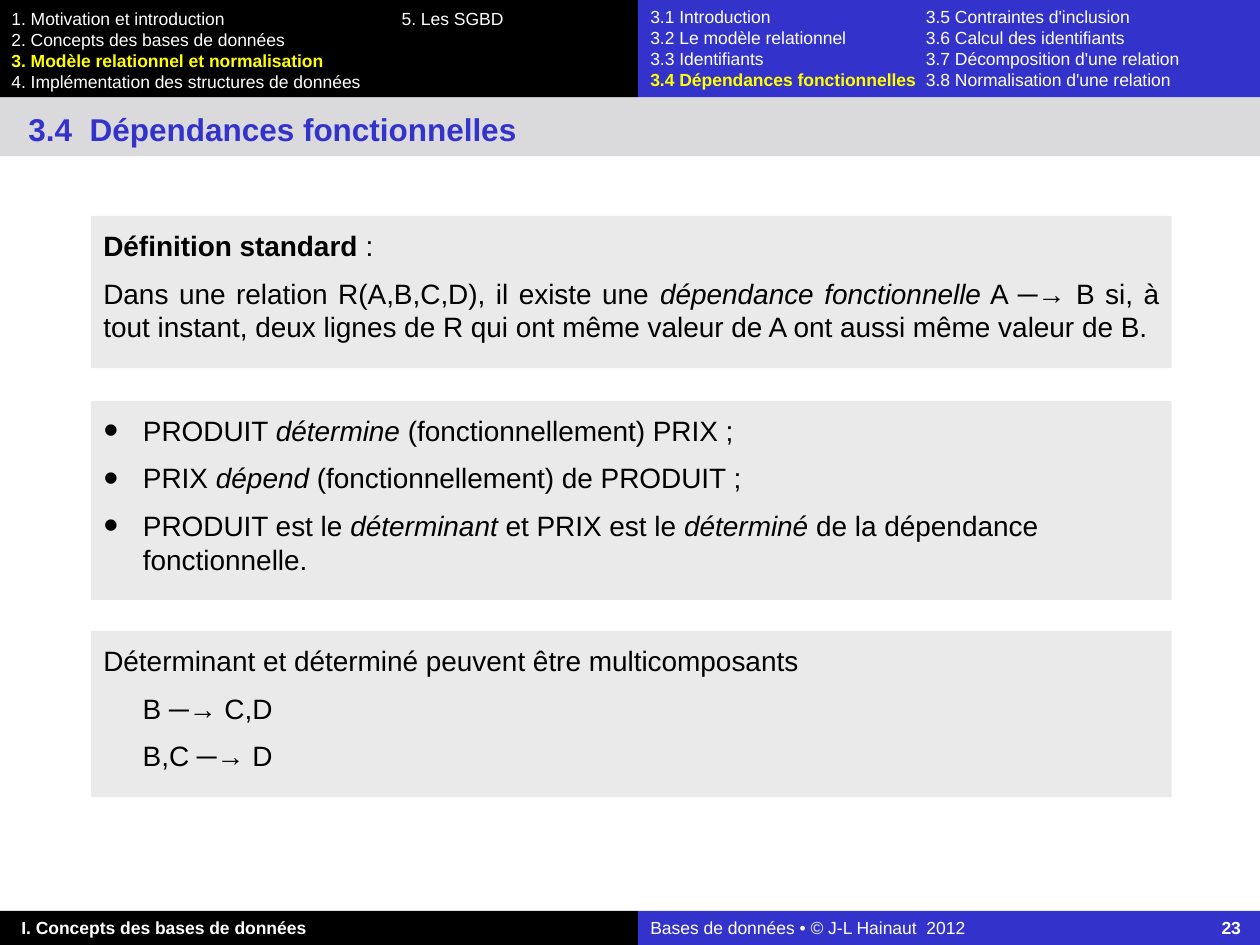
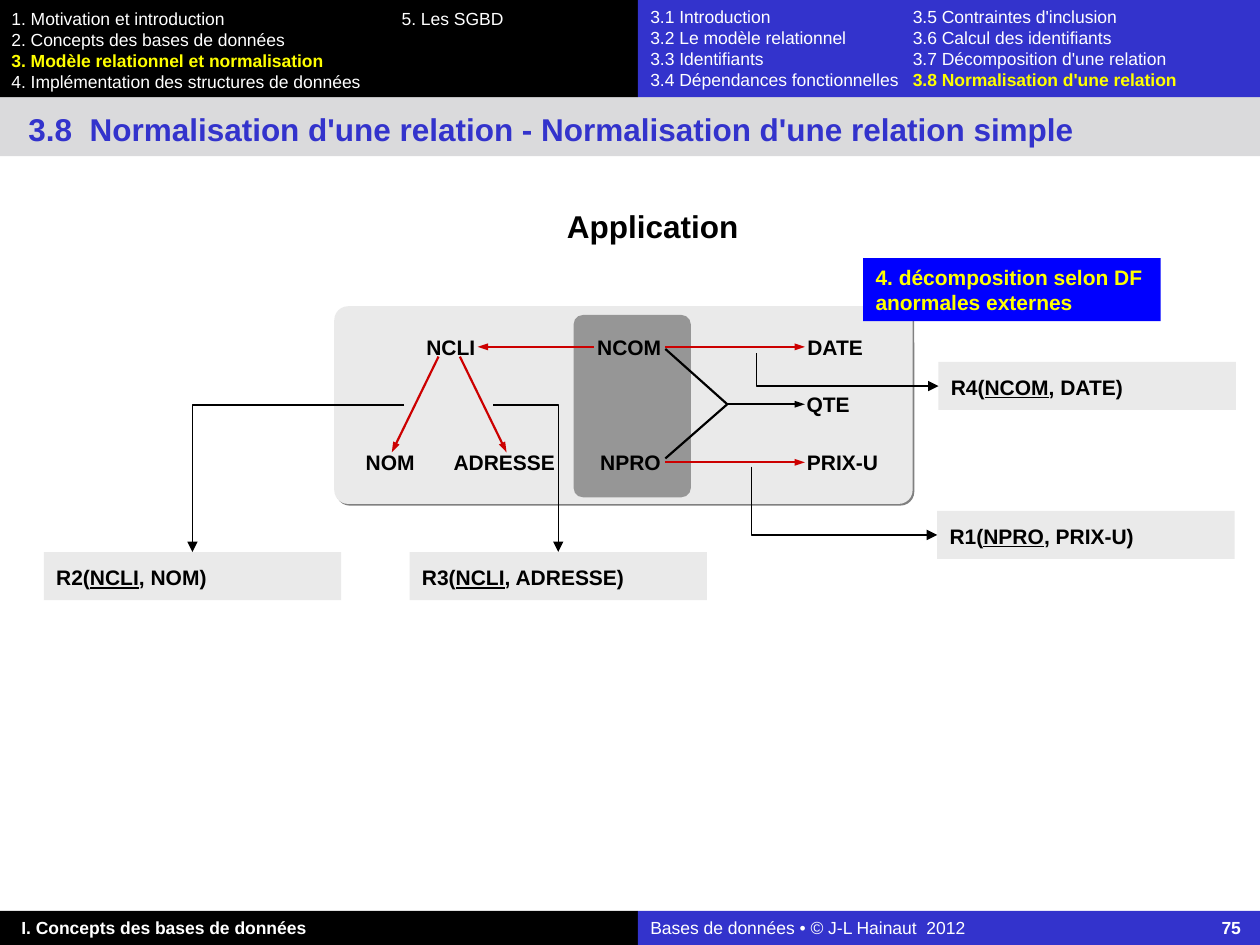
from dataclasses import dataclass
from typing import Any, NamedTuple

from lxml import etree
from pptx import Presentation
from pptx.dml.color import RGBColor
from pptx.enum.shapes import MSO_CONNECTOR, MSO_SHAPE
from pptx.enum.text import MSO_ANCHOR, MSO_AUTO_SIZE, PP_ALIGN
from pptx.oxml.ns import qn
from pptx.util import Pt

RECT, ROUND = MSO_SHAPE.RECTANGLE, MSO_SHAPE.ROUNDED_RECTANGLE
STRAIGHT, ELBOW = MSO_CONNECTOR.STRAIGHT, MSO_CONNECTOR.ELBOW
LEFT, CENTER, JUSTIFY = PP_ALIGN.LEFT, PP_ALIGN.CENTER, PP_ALIGN.JUSTIFY
TOP, MIDDLE = MSO_ANCHOR.TOP, MSO_ANCHOR.MIDDLE
NO_FIT = MSO_AUTO_SIZE.NONE

FONT = "Arial"
COLORS = {
    "black": "000000", "white": "FFFFFF", "yellow": "FFFF00",
    "indigo": "3333CC", "band": "DADADC", "panel": "EAEAEA",
    "key": "969696", "shadow": "808080", "red": "CC0000", "blue": "0000FF",
}
CHAPTERS = (
    "1. Motivation et introduction", "2. Concepts des bases de données",
    "3. Modèle relationnel et normalisation",
    "4. Implémentation des structures de données", "5. Les SGBD",
)
SECTIONS = (
    "3.1 Introduction", "3.2 Le modèle relationnel", "3.3 Identifiants",
    "3.4 Dépendances fonctionnelles", "3.5 Contraintes d'inclusion",
    "3.6 Calcul des identifiants", "3.7 Décomposition d'une relation",
    "3.8 Normalisation d'une relation",
)
MENU_ROWS = 4
SPLIT_X, SLIDE_W, SLIDE_H = 364.5, 720, 540
MENU_H, FOOTER_Y, FOOTER_H = 55.5, 520.5, 19.5
ROW_Y, ROW_GAP, LABEL_H = 191, 33, 14.4
RESULT_W, RESULT_H = 170, 27.4


class Rect(NamedTuple):
    """Left, top, width and height in points."""
    left: float
    top: float
    width: float
    height: float


@dataclass(frozen=True)
class Run:
    """Text with its own character format."""
    text: str
    bold: bool | None = None
    italic: bool = False
    underline: bool = False
    color: str | None = None


@dataclass(frozen=True)
class Para:
    """Runs with a paragraph format."""
    runs: tuple[Run, ...]
    align: Any = LEFT
    margin: float = 0
    bullet: bool = False


class Label(NamedTuple):
    """Attribute name on a row of the dependency diagram."""
    text: str
    left: float
    width: float
    row: int


class Arrow(NamedTuple):
    """Straight dependency line between two points."""
    x1: float
    y1: float
    x2: float
    y2: float
    color: str = "red"
    end: str | None = "tailEnd"


class Result(NamedTuple):
    """Relation obtained by decomposition, with its elbow arrow."""
    name: str
    key: str
    attribute: str
    left: float
    top: float
    elbow: Rect
    turn: dict[str, str]
    end: str


LABELS = (
    Label("NCLI", 243.6, 28, 0), Label("NOM", 209, 28, 2),
    Label("ADRESSE", 259, 58.3, 2), Label("NCOM", 341.2, 36.7, 0),
    Label("NPRO", 343, 34.6, 2), Label("DATE", 461, 32.4, 0),
    Label("QTE", 461, 24.5, 1), Label("PRIX-U", 461, 41, 2),
)
ARROWS = (
    Arrow(380.2, 199.4, 415.6, 231, "black", None),
    Arrow(415.6, 231, 380.2, 262, "black", None),
    Arrow(415.6, 231, 460, 231, "black"),
    Arrow(380.2, 198.2, 460, 198.2), Arrow(380.2, 264.2, 460, 264.2),
    Arrow(339.2, 198.2, 273, 198.2),
    Arrow(250.6, 203.8, 223.9, 258.5), Arrow(262.8, 203.8, 289.5, 258.5),
)
RESULTS = (
    Result("R2", "NCLI", "NOM", 25, 315.5, Rect(110, 231.4, 121, 84),
           {"rot": "10800000", "flipV": "1"}, "tailEnd"),
    Result("R3", "NCLI", "ADRESSE", 234, 315.5, Rect(282, 231.4, 37, 84),
           {}, "tailEnd"),
    Result("R4", "NCOM", "DATE", 536.2, 206.8, Rect(432.3, 201.6, 104, 19),
           {"rot": "10800000"}, "headEnd"),
    Result("R1", "NPRO", "PRIX-U", 535.5, 292, Rect(463, 233.2, 39, 106),
           {"rot": "16200000", "flipH": "1"}, "tailEnd"),
)


def rgb(name: str) -> RGBColor:
    """Return a palette colour."""
    return RGBColor.from_string(COLORS[name])


def place(sp: Any, rect: Rect, fill: str) -> Any:
    """Position a shape and give it a plain fill."""
    sp.left, sp.top, sp.width, sp.height = map(Pt, rect)
    sp.fill.solid()
    sp.fill.fore_color.rgb = rgb(fill)
    return sp


def add_box(s: Any, rect: Rect, fill: str, kind: Any = RECT) -> Any:
    """Add a filled shape without outline or shadow."""
    sp = place(s.shapes.add_shape(kind, *map(Pt, rect)), rect, fill)
    sp.line.fill.background()
    sp.shadow.inherit = False
    return sp


def plain(text: str) -> Para:
    """Make a paragraph of one unformatted run."""
    return Para((Run(text),))


def write(sp: Any, paras: list[Para], *, size: float, color: str = "black",
          bold: bool = False, insets: tuple[float, ...] = (7.2, 3.6, 7.2, 3.6),
          before: float = 0, tab: tuple[float, str] | None = None,
          anchor: Any = TOP, wrap: bool = True) -> None:
    """Fill a shape with formatted paragraphs."""
    tf = sp.text_frame
    tf.auto_size, tf.word_wrap, tf.vertical_anchor = NO_FIT, wrap, anchor
    tf.margin_left, tf.margin_top, tf.margin_right, tf.margin_bottom = map(Pt, insets)
    for i, para in enumerate(paras):
        p = tf.add_paragraph() if i else tf.paragraphs[0]
        pPr = p._p.get_or_add_pPr()
        if para.margin:
            pPr.set("marL", str(Pt(para.margin)))
            pPr.set("indent", str(-Pt(para.margin) if para.bullet else 0))
        if para.bullet:
            etree.SubElement(pPr, qn("a:buSzPct"), val="150000")
            etree.SubElement(pPr, qn("a:buFont"), typeface=FONT)
            etree.SubElement(pPr, qn("a:buChar"), char="•")
        if tab:
            tabs = etree.SubElement(pPr, qn("a:tabLst"))
            etree.SubElement(tabs, qn("a:tab"), pos=str(Pt(tab[0])), algn=tab[1])
        p.alignment = para.align
        p.space_before, p.space_after = Pt(before if i else 0), Pt(0)
        for run in para.runs:
            r = p.add_run()
            r.text = run.text
            r.font.name, r.font.size = FONT, Pt(size)
            r.font.bold = bold if run.bold is None else run.bold
            r.font.italic, r.font.underline = run.italic, run.underline
            r.font.color.rgb = rgb(run.color or color)


def add_text(s: Any, rect: Rect, text: str, **fmt: Any) -> None:
    """Add a centred one-line text box."""
    sp = s.shapes.add_textbox(*map(Pt, rect))
    write(sp, [Para((Run(text),), CENTER)], **fmt)


def add_line(s: Any, kind: Any, ends: tuple[float, ...], color: str, width: float,
             end: str | None, head_width: str = "med") -> Any:
    """Add a connector, with an arrowhead on the named end."""
    cxn = s.shapes.add_connector(kind, *map(Pt, ends))
    cxn.line.color.rgb, cxn.line.width = rgb(color), Pt(width)
    if end:
        etree.SubElement(cxn.line._get_or_add_ln(), qn(f"a:{end}"),
                         type="triangle", w=head_width, len="med")
    etree.SubElement(cxn._element.spPr, qn("a:effectLst"))
    return cxn


def add_menu(s: Any, rect: Rect, fill: str, items: tuple[str, ...], active: str,
             tab: float, insets: tuple[float, ...]) -> None:
    """Add a two-column menu with the active entry highlighted."""
    rows = []
    for i in range(MENU_ROWS):
        cells = items[i::MENU_ROWS]
        rows.append(Para(tuple(
            Run(("\t" if col else "") + cell, bold=cell == active,
                color="yellow" if cell == active else "white")
            for col, cell in enumerate(cells))))
    write(add_box(s, rect, fill), rows, size=10, insets=insets, tab=(tab, "l"))


def add_frame(s: Any, title: str, section: str, number: int, tab: float) -> None:
    """Add the menus, title band and footers."""
    right_w = SLIDE_W - SPLIT_X
    add_menu(s, Rect(0, 0, SPLIT_X, MENU_H), "black", CHAPTERS, CHAPTERS[2],
             223, (6.5, 4.5, 0, 0))
    add_menu(s, Rect(SPLIT_X, 0, right_w, MENU_H), "indigo", SECTIONS, section,
             tab, (7.2, 3.6, 0, 0))
    place(s.shapes.title, Rect(0, MENU_H, SLIDE_W, 33.8), "band")
    write(s.shapes.title, [plain(title)], size=18, color="indigo", bold=True,
          insets=(16.2, 7.2, 7.2, 0))
    write(add_box(s, Rect(0, FOOTER_Y, SPLIT_X, FOOTER_H), "black"),
          [plain("I. Concepts des bases de données")], size=10, color="white",
          bold=True, insets=(12.2, 3.8, 7.2, 0))
    write(add_box(s, Rect(SPLIT_X, FOOTER_Y, right_w, FOOTER_H), "indigo"),
          [Para((Run("Bases de données • © J-L Hainaut  2012"),
                 Run(f"\t{number}", bold=True)))],
          size=10, color="white", tab=(337.5, "r"), insets=(7.2, 3.5, 7.2, 0))


def build_definition(prs: Any) -> None:
    """Build the slide that defines functional dependencies."""
    s = prs.slides.add_slide(prs.slide_layouts[1])
    add_frame(s, "3.4  Dépendances fonctionnelles", SECTIONS[3], 23, 157.5)
    definition = [
        Para((Run("Définition standard", bold=True), Run(" :"))),
        Para((Run("Dans une relation R(A,B,C,D), il existe une "),
              Run("dépendance fonctionnelle", italic=True), Run(" A "),
              Run("─→ ", bold=True),
              Run("B si, à tout instant, deux lignes de R qui ont même valeur "
                  "de A ont aussi même valeur de B.")), JUSTIFY),
    ]
    vocabulary = [Para(runs, margin=22.5, bullet=True) for runs in (
        (Run("PRODUIT "), Run("détermine", italic=True),
         Run(" (fonctionnellement) PRIX ;")),
        (Run("PRIX "), Run("dépend", italic=True),
         Run(" (fonctionnellement) de PRODUIT ;")),
        (Run("PRODUIT est le "), Run("déterminant", italic=True),
         Run(" et PRIX est le "), Run("déterminé", italic=True),
         Run(" de la dépendance fonctionnelle.")),
    )]
    composites = [plain("Déterminant et déterminé peuvent être multicomposants")]
    composites += [Para((Run(t),), margin=22.5) for t in ("B ─→ C,D", "B,C ─→ D")]
    left, width = 52, 617.5
    panels = (
        (add_box(s, Rect(left, 123.4, width, 87), "panel"), definition),
        (place(s.placeholders[1], Rect(left, 229, width, 113.8), "panel"), vocabulary),
        (add_box(s, Rect(left, 360.5, width, 95), "panel"), composites),
    )
    for sp, paras in panels:
        write(sp, paras, size=16, before=8, insets=(7.2, 7.2, 7.2, 14.4))


def build_application(prs: Any) -> None:
    """Build the slide that decomposes a relation."""
    s = prs.slides.add_slide(prs.slide_layouts[5])
    add_frame(s, "3.8  Normalisation d'une relation - Normalisation d'une relation simple",
              SECTIONS[7], 75, 150)
    add_text(s, Rect(62.6, 111, 617.8, 36), "Application", size=18, bold=True,
             insets=(4.3, 7.2, 1.4, 7.2))
    relation = add_box(s, Rect(191, 175, 330.5, 113), "panel", ROUND)
    relation.adjustments[0] = 0.07
    effects = relation._element.spPr.find(qn("a:effectLst"))
    shadow = etree.SubElement(effects, qn("a:outerShdw"), dist=str(Pt(1.4)),
                              dir="2700000", algn="tl", rotWithShape="0")
    etree.SubElement(shadow, qn("a:srgbClr"), val=COLORS["shadow"])
    key = add_box(s, Rect(327.8, 180, 67, 104.2), "key", ROUND)
    key.adjustments[0] = 0.08
    for label in LABELS:
        rect = Rect(label.left, ROW_Y + label.row * ROW_GAP, label.width, LABEL_H)
        add_text(s, rect, label.text, size=12, bold=True, insets=(0, 0, 0, 0),
                 anchor=MIDDLE, wrap=False)
    for arrow in ARROWS:
        add_line(s, STRAIGHT, arrow[:4], arrow.color, 1.25, arrow.end, "sm")
    write(add_box(s, Rect(493.2, 147.5, 170, 36), "blue"),
          [plain("4. décomposition selon DF"), plain("anormales externes")],
          size=12, color="yellow", bold=True, wrap=False)
    for res in RESULTS:
        write(add_box(s, Rect(res.left, res.top, RESULT_W, RESULT_H), "panel"),
              [Para((Run(f"{res.name}("), Run(res.key, underline=True),
                     Run(f", {res.attribute})")))],
              size=12, bold=True, insets=(7.2, 7.2, 7.2, 5.8))
        x, y, w, h = res.elbow
        cxn = add_line(s, ELBOW, (x, y, x + w, y + h), "black", 0.75, res.end)
        spPr = cxn._element.spPr
        spPr.find(qn("a:prstGeom")).set("prst", "bentConnector2")
        for name, value in res.turn.items():
            spPr.find(qn("a:xfrm")).set(name, value)


def main() -> None:
    """Build and save the presentation."""
    prs = Presentation()
    prs.slide_width, prs.slide_height = Pt(SLIDE_W), Pt(SLIDE_H)
    build_definition(prs)
    build_application(prs)
    prs.save("out.pptx")


if __name__ == "__main__":
    main()
